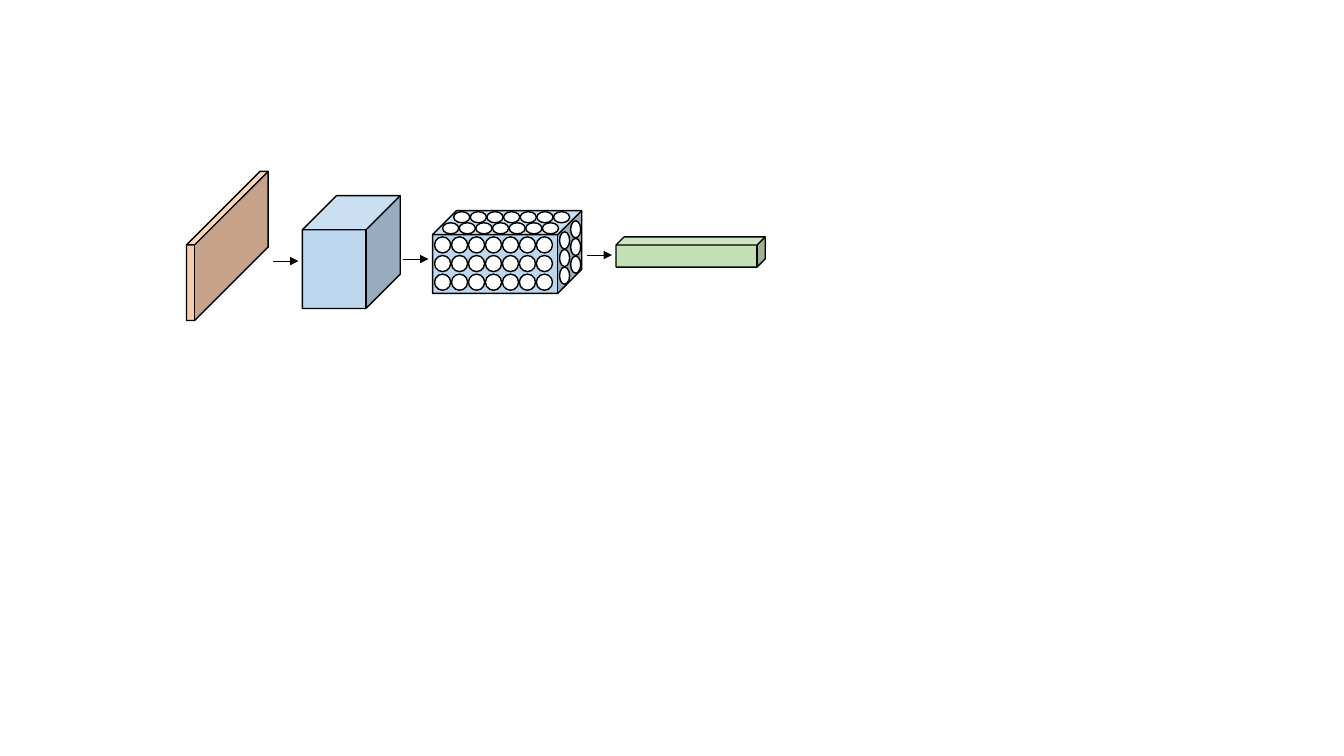
from itertools import product

from lxml.etree import SubElement
from pptx import Presentation
from pptx.dml.color import RGBColor
from pptx.enum.shapes import MSO_CONNECTOR, MSO_SHAPE
from pptx.oxml.ns import qn
from pptx.util import Inches, Pt

BLACK = RGBColor(0x00, 0x00, 0x00)
WHITE = RGBColor(0xFF, 0xFF, 0xFF)
PEACH = RGBColor(0xF8, 0xCB, 0xAD)
BLUE = RGBColor(0xBD, 0xD7, 0xEE)
GREEN = RGBColor(0xC5, 0xE0, 0xB4)


def add_solid(shapes, kind, box, fill):
    """Add a filled shape with a thin black outline in the given box."""
    shape = shapes.add_shape(kind, *map(Inches, box))
    shape.shadow.inherit = False
    shape.fill.solid()
    shape.fill.fore_color.rgb = fill
    shape.line.color.rgb = BLACK
    shape.line.width = Pt(1)
    return shape


def add_cube(shapes, box, depth, fill):
    """Add a cube whose depth is a share of its shorter side."""
    cube = add_solid(shapes, MSO_SHAPE.CUBE, box, fill)
    cube.adjustments[0] = depth


def add_arrow(shapes, left, top, width=0.25):
    """Add a level arrow that points right."""
    ends = map(Inches, (left, top, left + width, top))
    arrow = shapes.add_connector(MSO_CONNECTOR.STRAIGHT, *ends)
    arrow.line.color.rgb = BLACK
    arrow.line.width = Pt(0.5)
    SubElement(arrow.line._get_or_add_ln(), qn("a:tailEnd"), type="triangle")
    SubElement(arrow._element.spPr, qn("a:effectLst"))


def add_dots(shapes, start, size, grid, across, down):
    """Fill one face with a grid of dots, stepping by two vectors."""
    cols, rows = grid
    for row, col in product(range(rows), range(cols)):
        left, top = (
            base + col * right + row * below
            for base, right, below in zip(start, across, down)
        )
        add_solid(shapes, MSO_SHAPE.OVAL, (left, top, *size), WHITE)


def add_dotted(shapes, box):
    """Add the cube with dots on its front, top and side."""
    left, top, width, height = box
    add_cube(shapes, box, 0.29, BLUE)
    slant = (0.11, -0.11)
    add_dots(shapes, (left + 0.02, top + 0.26), (0.16, 0.16), (7, 3),
             (1.01 / 6, 0), (0, 0.37 / 2))
    add_dots(shapes, (left + 0.1, top + 0.12), (0.16, 0.11), (7, 2),
             (0.99 / 6, 0), slant)
    add_dots(shapes, (left + width - 0.22, top + 0.21), (0.1, 0.17), (2, 3),
             slant, (0, 0.35 / 2))


def add_flow(slide):
    """Draw the flow of blocks from left to right as one group."""
    shapes = slide.shapes.add_group_shape().shapes
    add_cube(shapes, (1.85, 1.7, 0.81, 1.48), 0.9, PEACH)
    add_cube(shapes, (3, 1.94, 0.97, 1.12), 0.35, BLUE)
    add_cube(shapes, (6.11, 2.35, 1.48, 0.3), 0.27, GREEN)
    for left, top in ((2.71, 2.59), (4, 2.57), (5.82, 2.53)):
        add_arrow(shapes, left, top)
    add_dotted(shapes, (4.29, 2.09, 1.48, 0.82))


def main():
    """Build the slide and save it."""
    deck = Presentation()
    deck.slide_width = Inches(13.33)
    deck.slide_height = Inches(7.5)
    add_flow(deck.slides.add_slide(deck.slide_layouts[6]))
    deck.save("out.pptx")


if __name__ == "__main__":
    main()
